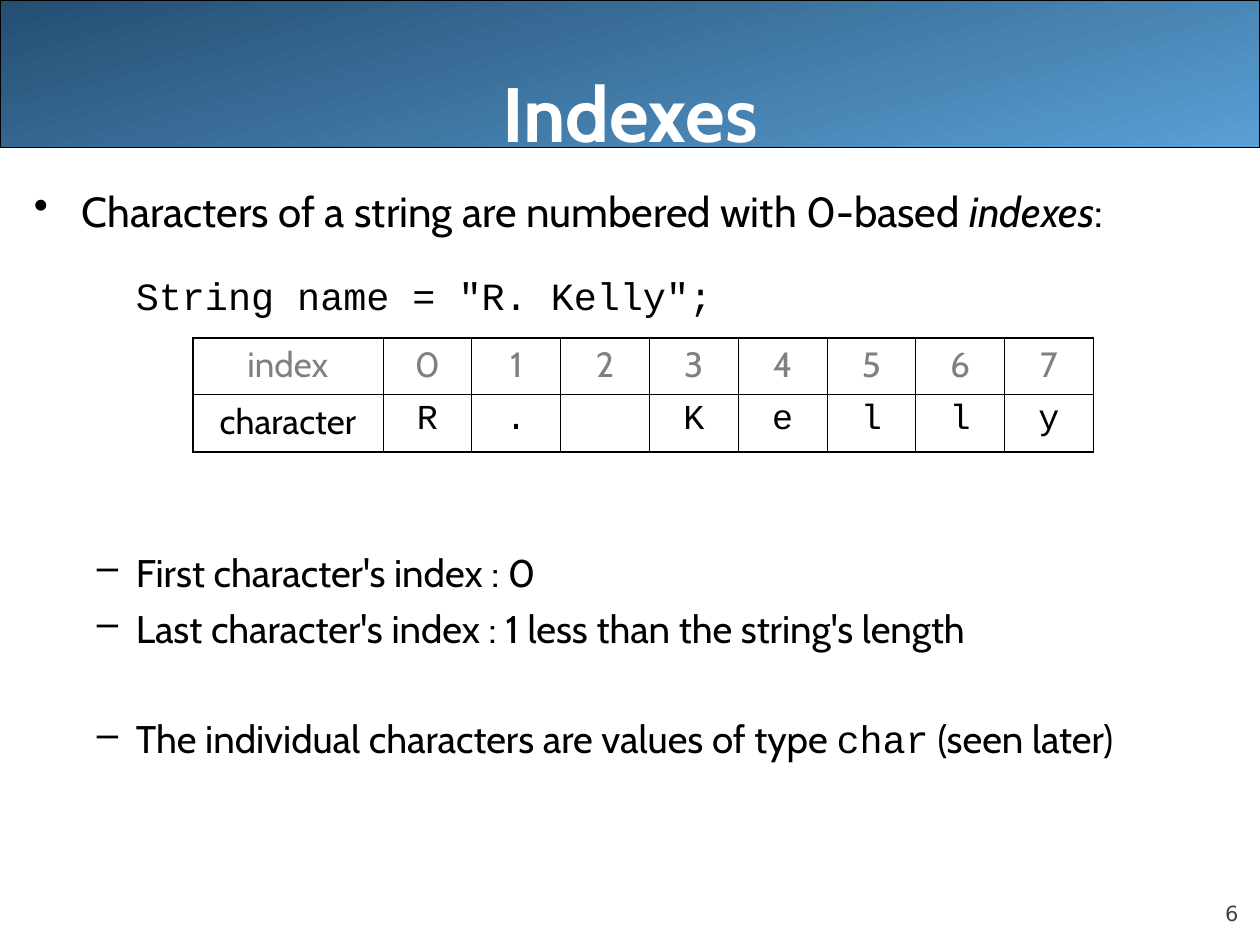
"""Build the slide that explains string indexes."""
from dataclasses import dataclass

from lxml.etree import SubElement
from pptx import Presentation
from pptx.dml.color import RGBColor
from pptx.enum.shapes import MSO_SHAPE
from pptx.enum.text import MSO_ANCHOR, MSO_AUTO_SIZE, PP_ALIGN
from pptx.oxml import parse_xml
from pptx.oxml.ns import nsdecls, qn
from pptx.util import Inches, Pt

COLORS = {
    "black": "000000",
    "white": "FFFFFF",
    "gray": "808080",
    "number": "424242",
    "band_light": "5A9FD4",
    "band_dark": "244E72",
}
SANS, MONO = "Cabin", "Courier New"
THIN, THICK = 0.45, 1.08


@dataclass
class TextRun:
    text: str
    font: str = SANS
    italic: bool = False


@dataclass
class BodyLine:
    runs: list[TextRun]
    size: float
    space_before: float
    margin: float
    hanging: float = 0
    bullet: str = ""


BODY_LINES = [
    BodyLine([TextRun("Characters of a string are numbered with 0-based "),
              TextRun("indexes", italic=True), TextRun(":")], 24, 6, 0.38, 0.38, "•"),
    BodyLine([TextRun('String name = "R. Kelly";', MONO)], 22, 21, 0.81),
    BodyLine([TextRun("First character's index : 0")], 22, 131.6, 0.81, 0.31, "–"),
    BodyLine([TextRun("Last character's index : 1 less than the string's length")],
             22, 5.5, 0.81, 0.31, "–"),
    BodyLine([TextRun("The individual characters are values of type "),
              TextRun("char", MONO), TextRun(" (seen later)")], 22, 36.7, 0.81, 0.31, "–"),
]
NAME = "R. Kelly"


def color(name: str) -> RGBColor:
    return RGBColor.from_string(COLORS[name])


def add_run(paragraph, text_run: TextRun, size: float, color_name: str, bold: bool = False) -> None:
    run = paragraph.add_run()
    run.text = text_run.text
    run.font.name = text_run.font
    run.font.size = Pt(size)
    run.font.italic = text_run.italic
    run.font.bold = bold
    run.font.color.rgb = color(color_name)


def add_band(slide) -> None:
    band = slide.shapes.add_shape(MSO_SHAPE.RECTANGLE, 0, 0, Inches(10), Inches(1.17))
    band.shadow.inherit = False
    band.fill.gradient()
    band.fill.gradient_angle = 105
    for stop, name in zip(band.fill.gradient_stops, ("band_light", "band_dark")):
        stop.color.rgb = color(name)
    band.line.color.rgb = color("black")
    band.line.width = Pt(0.75)
    slide.shapes._spTree.insert(2, band._element)


def format_title(slide) -> None:
    title = slide.shapes.title
    title.left, title.top, title.width, title.height = map(Inches, (0.5, 0, 9, 1.25))
    frame = title.text_frame
    frame.auto_size = MSO_AUTO_SIZE.NONE
    frame.vertical_anchor = MSO_ANCHOR.BOTTOM
    frame.margin_left = frame.margin_right = frame.margin_bottom = 0
    frame.margin_top = Inches(0.05)
    paragraph = frame.paragraphs[0]
    paragraph.alignment = PP_ALIGN.CENTER
    paragraph.line_spacing = 1.0
    add_run(paragraph, TextRun("Indexes"), 44, "white", bold=True)


def add_body(slide, lines: list[BodyLine]) -> None:
    body = slide.shapes.add_textbox(Inches(0.17), Inches(1.42), Inches(9.83), Inches(5.67))
    frame = body.text_frame
    frame.word_wrap = True
    for index, line in enumerate(lines):
        paragraph = frame.add_paragraph() if index else frame.paragraphs[0]
        paragraph.space_before = Pt(line.space_before)
        properties = paragraph._p.get_or_add_pPr()
        properties.set("marL", str(Inches(line.margin)))
        properties.set("indent", str(-Inches(line.hanging)))
        if line.bullet:
            SubElement(properties, qn("a:buChar")).set("char", line.bullet)
        for text_run in line.runs:
            add_run(paragraph, text_run, line.size, "black")


def set_borders(cell, widths: dict[str, float]) -> None:
    properties = cell._tc.get_or_add_tcPr()
    for position, (side, width) in enumerate(widths.items()):
        properties.insert(position, parse_xml(
            f'<a:ln{side} {nsdecls("a")} w="{Pt(width)}"><a:solidFill>'
            f'<a:srgbClr val="{COLORS["black"]}"/></a:solidFill></a:ln{side}>'))


def add_index_table(slide, name: str) -> None:
    rows = [["index", *map(str, range(len(name)))], ["character", *name]]
    last_column = len(name)
    frame = slide.shapes.add_table(
        2, last_column + 1, Inches(1.53), Inches(2.68), Inches(7.15), Inches(0.91))
    table = frame.table
    table.first_row = table.horz_banding = False
    for index, column in enumerate(table.columns):
        column.width = Inches(0.705 if index else 1.51)
    for row_index, texts in enumerate(rows):
        table.rows[row_index].height = Inches((0.45, 0.46)[row_index])
        for column_index, text in enumerate(texts):
            cell = table.cell(row_index, column_index)
            cell.fill.background()
            set_borders(cell, {
                "L": THIN if column_index else THICK,
                "R": THICK if column_index == last_column else THIN,
                "T": THIN if row_index else THICK,
                "B": THICK if row_index else THIN,
            })
            if text.strip():
                paragraph = cell.text_frame.paragraphs[0]
                paragraph.alignment = PP_ALIGN.CENTER
                paragraph.space_before = Pt(5)
                font = MONO if row_index and column_index else SANS
                add_run(paragraph, TextRun(text, font), 20, "black" if row_index else "gray")


def add_slide_number(slide, number: str) -> None:
    box = slide.shapes.add_textbox(Inches(9), Inches(6.95), Inches(0.83), Inches(0.4))
    frame = box.text_frame
    frame.word_wrap = True
    frame.vertical_anchor = MSO_ANCHOR.BOTTOM
    frame.margin_left = frame.margin_right = frame.margin_top = frame.margin_bottom = 0
    paragraph = frame.paragraphs[0]
    paragraph.alignment = PP_ALIGN.RIGHT
    add_run(paragraph, TextRun(number, "DejaVu Sans"), 12, "number")


def main() -> None:
    presentation = Presentation()
    presentation.slide_width, presentation.slide_height = Inches(10), Inches(7.5)
    slide = presentation.slides.add_slide(presentation.slide_layouts[5])
    add_band(slide)
    format_title(slide)
    add_body(slide, BODY_LINES)
    add_index_table(slide, NAME)
    add_slide_number(slide, "6")
    presentation.save("out.pptx")


if __name__ == "__main__":
    main()
